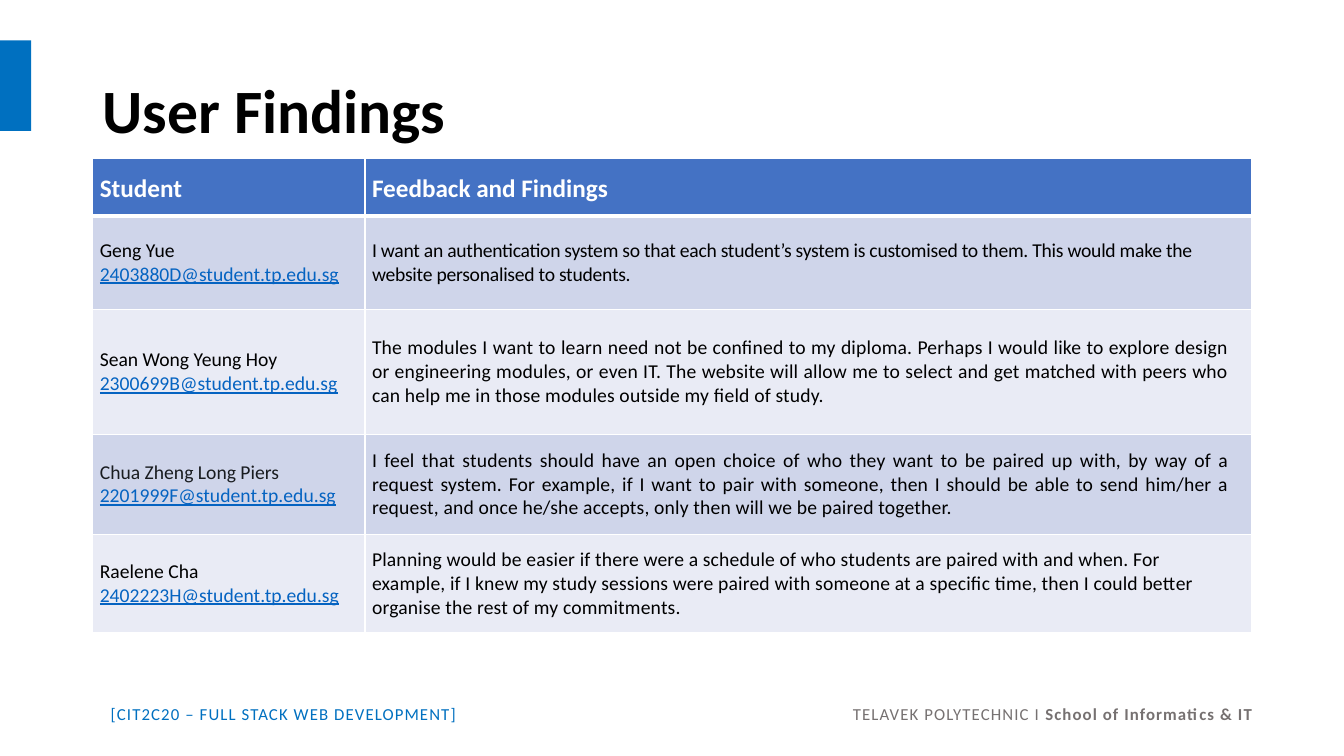
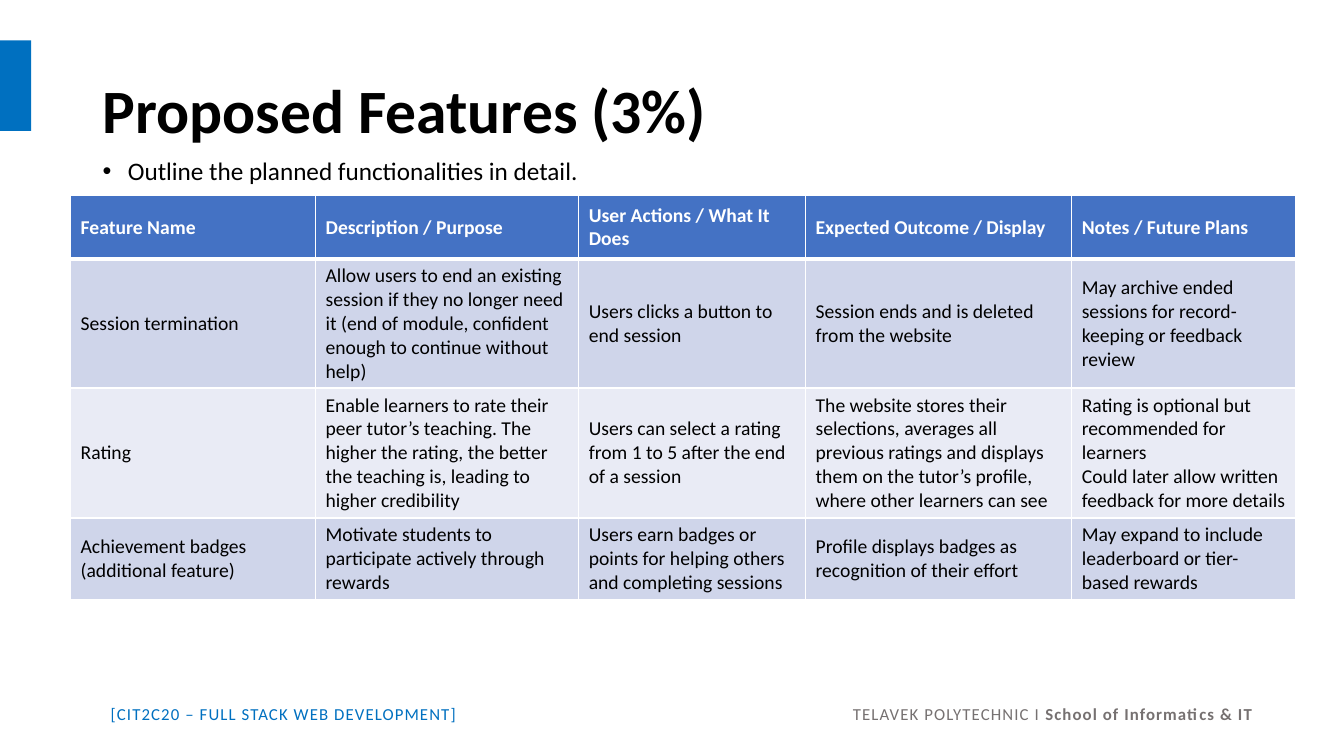
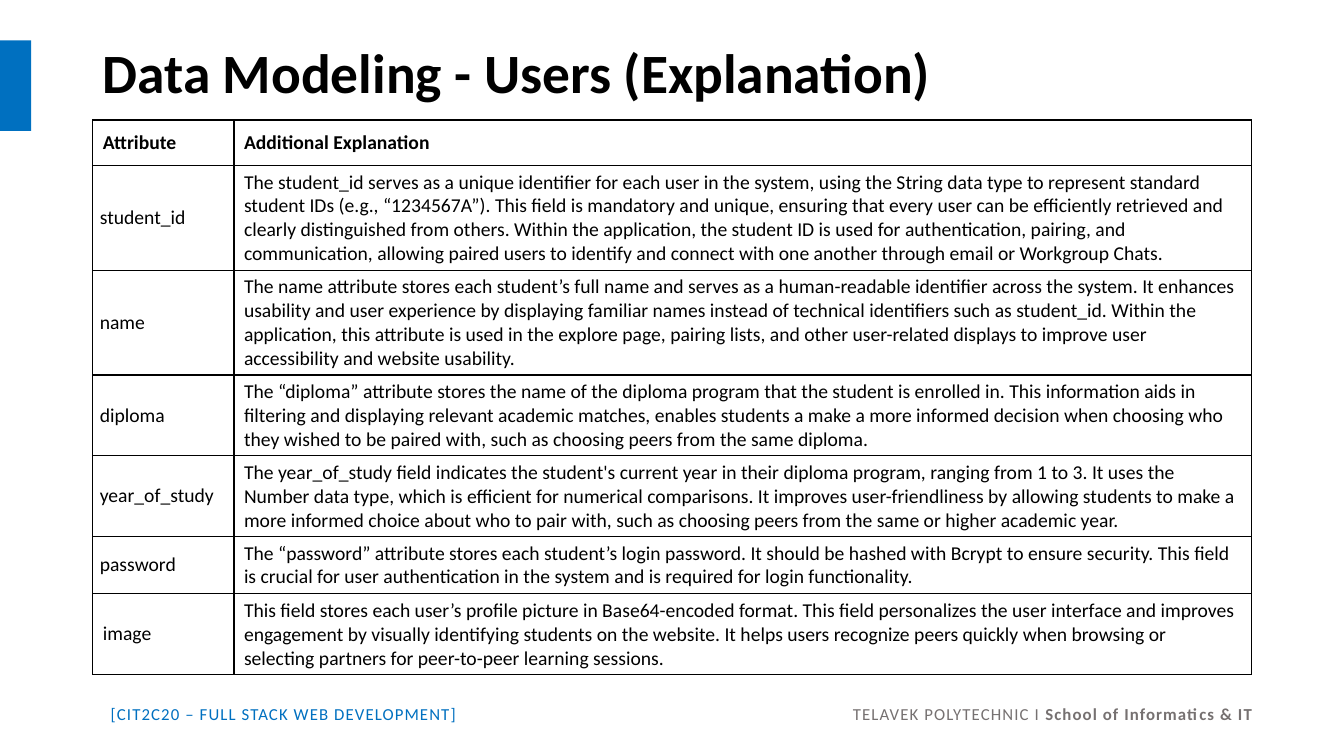
from lxml.etree import SubElement
from pptx import Presentation
from pptx.dml.color import RGBColor
from pptx.enum.shapes import MSO_SHAPE
from pptx.enum.text import MSO_ANCHOR, PP_ALIGN
from pptx.oxml.ns import qn
from pptx.util import Pt

PX = 9144  # 100 px to the inch
FONT = "Calibri"
COLORS = {
    "black": "000000",
    "ink": "191C20",
    "white": "FFFFFF",
    "accent": "0070C0",
    "grey": "767171",
    "link": "0563C1",
    "header": "4472C4",
    "band_dark": "CFD5EA",
    "band_light": "E9EBF5",
}
RGB = {name: RGBColor.from_string(value) for name, value in COLORS.items()}


def write(tf, text, size, color="black", bold=False, tracking=0):
    """Fill a text frame, one paragraph a line; tracking is in 1/100 pt."""
    tf.text = text
    tf.word_wrap = True
    for p in tf.paragraphs:
        for r in p.runs:
            r.font.name, r.font.size, r.font.bold = FONT, Pt(size), bold
            r.font.color.rgb = RGB[color]
            if tracking:
                r.font._element.set("spc", str(tracking))


def add_grid(s, x, y, cols, rows, texts, banded):
    """Add a table: coloured bands with white rules, or plain with black rules."""
    table = s.shapes.add_table(len(rows), len(cols), x * PX, y * PX,
                               sum(cols) * PX, sum(rows) * PX).table
    table.horz_banding = False
    for c, width in enumerate(cols):
        table.columns[c].width = width * PX
    for r, height in enumerate(rows):
        table.rows[r].height = height * PX
        for c, text in enumerate(texts[r]):
            cell = table.cell(r, c)
            cell.vertical_anchor = MSO_ANCHOR.MIDDLE
            heading = r == 0
            color = "white" if heading and banded else "black"
            write(cell.text_frame, text, 14, color, heading)
            if banded:
                cell.fill.solid()
                band = "band_dark" if r % 2 else "band_light"
                cell.fill.fore_color.rgb = RGB["header" if heading else band]
            else:
                cell.fill.background()
            tcPr = cell._tc.get_or_add_tcPr()
            for i, side in enumerate(("lnL", "lnR", "lnT", "lnB")):
                thick = banded and (r, side) in ((0, "lnB"), (1, "lnT"))
                ln = SubElement(tcPr, qn(f"a:{side}"), w=str(Pt(3 if thick else 1)))
                fill = SubElement(ln, qn("a:solidFill"))
                SubElement(fill, qn("a:srgbClr"), val=COLORS["white" if banded else "black"])
                tcPr.insert(i, ln)
    return table


prs = Presentation()
prs.slide_width, prs.slide_height = 1333 * PX, 750 * PX

# Shared band, title and footer
titles = [
    ("User Findings", 145, 44),
    ("Proposed Features (3%)", 145, 44),
    ("Data Modeling - Users (Explanation)", 70, 39.6),
]
slides = []
for title, height, size in titles:
    s = prs.slides.add_slide(prs.slide_layouts[6])
    slides.append(s)

    sp = s.shapes.add_shape(MSO_SHAPE.RECTANGLE, 0, 40 * PX, 31 * PX, 90 * PX)
    sp.shadow.inherit = False
    sp.fill.solid()
    sp.fill.fore_color.rgb = RGB["accent"]
    sp.line.fill.background()

    tf = s.shapes.add_textbox(92 * PX, 40 * PX, 1150 * PX, height * PX).text_frame
    write(tf, title, size, bold=True)
    tf.vertical_anchor = MSO_ANCHOR.MIDDLE
    tf.paragraphs[0].line_spacing = 0.9

    tf = s.shapes.add_textbox(100 * PX, 693 * PX, 500 * PX, 30 * PX).text_frame
    write(tf, "[CIT2C20 – FULL STACK WEB DEVELOPMENT]", 12, "accent", tracking=80)

    tf = s.shapes.add_textbox(752 * PX, 693 * PX, 500 * PX, 30 * PX).text_frame
    write(tf, "TELAVEK POLYTECHNIC I ", 12, "grey", tracking=80)
    p = tf.paragraphs[0]
    p.alignment = PP_ALIGN.RIGHT
    r = p.add_run()
    r.text = "School of Informatics & IT"
    r.font.name, r.font.size, r.font.bold = FONT, Pt(12), True
    r.font.color.rgb = RGB["grey"]
    r.font._element.set("spc", "80")

findings_slide, features_slide, model_slide = slides

# User findings: name, name colour, e-mail, feedback, alignment, tracking
findings = [
    ("Geng Yue", "black", "2403880D@student.tp.edu.sg",
     "I want an authentication system so that each student’s system is customised to them. "
     "This would make the website personalised to students.",
     PP_ALIGN.LEFT, -20),
    ("Sean Wong Yeung Hoy", "black", "2300699B@student.tp.edu.sg",
     "The modules I want to learn need not be confined to my diploma. Perhaps I would like to "
     "explore design or engineering modules, or even IT. The website will allow me to select "
     "and get matched with peers who can help me in those modules outside my field of study.",
     PP_ALIGN.JUSTIFY, 10),
    ("Chua Zheng Long Piers", "ink", "2201999F@student.tp.edu.sg",
     "I feel that students should have an open choice of who they want to be paired up with, "
     "by way of a request system. For example, if I want to pair with someone, then I should "
     "be able to send him/her a request, and once he/she accepts, only then will we be paired "
     "together.",
     PP_ALIGN.JUSTIFY, 10),
    ("Raelene Cha", "black", "2402223H@student.tp.edu.sg",
     "Planning would be easier if there were a schedule of who students are paired with and "
     "when. For example, if I knew my study sessions were paired with someone at a specific "
     "time, then I could better organise the rest of my commitments.",
     PP_ALIGN.LEFT, 10),
]
texts = [("Student", "Feedback and Findings")]
texts += [(f"{name}\n{email}", feedback) for name, _, email, feedback, _, _ in findings]
table = add_grid(findings_slide, 92, 157, [270, 879], [57, 93, 124, 99, 98], texts, True)
for cell in table.iter_cells():
    cell.margin_left = cell.margin_right = 7 * PX
    cell.margin_top = cell.margin_bottom = 0
for cell in table.rows[0].cells:
    cell.vertical_anchor = MSO_ANCHOR.TOP
    p = cell.text_frame.paragraphs[0]
    p.line_spacing = 1.5
    p.runs[0].font.size = Pt(18)
for row, (_, color, _, feedback, align, tracking) in enumerate(findings, 1):
    name, email = table.cell(row, 0).text_frame.paragraphs
    name.runs[0].font.color.rgb = RGB[color]
    email.runs[0].font.color.rgb = RGB["link"]
    email.runs[0].font.underline = True
    cell = table.cell(row, 1)
    cell.margin_right = 22 * PX
    write(cell.text_frame, feedback, 14, tracking=tracking)
    p = cell.text_frame.paragraphs[0]
    p.alignment = align
    p.space_before = p.space_after = Pt(6)

# Proposed features
tf = features_slide.shapes.add_textbox(92 * PX, 153 * PX, 1150 * PX, 53 * PX).text_frame
write(tf, "Outline the planned functionalities in detail.", 18)
p = tf.paragraphs[0]
p.line_spacing = 0.9
pPr = p._p.get_or_add_pPr()
pPr.set("marL", str(25 * PX))
pPr.set("indent", str(-25 * PX))
SubElement(pPr, qn("a:buFont"), typeface="Arial")
SubElement(pPr, qn("a:buChar"), char="•")

features = [
    ("Feature Name", "Description / Purpose", "User Actions / What It Does",
     "Expected Outcome / Display", "Notes / Future Plans"),
    ("Session termination",
     "Allow users to end an existing session if they no longer need it (end of module, "
     "confident enough to continue without help)",
     "Users clicks a button to end session",
     "Session ends and is deleted from the website",
     "May archive ended sessions for record-keeping or feedback review"),
    ("Rating",
     "Enable learners to rate their peer tutor’s teaching. The higher the rating, the better "
     "the teaching is, leading to higher credibility",
     "Users can select a rating from 1 to 5 after the end of a session",
     "The website stores their selections, averages all previous ratings and displays them on "
     "the tutor’s profile, where other learners can see",
     "Rating is optional but recommended for learners\n"
     "Could later allow written feedback for more details"),
    ("Achievement badges (additional feature)",
     "Motivate students to participate actively through rewards",
     "Users earn badges or points for helping others and completing sessions",
     "Profile displays badges as recognition of their effort",
     "May expand to include leaderboard or tier-based rewards"),
]
add_grid(features_slide, 70, 194, [243, 261, 225, 264, 222], [63, 128, 129, 81], features, True)

# Data model of users
attributes = [
    ("Attribute", "Additional Explanation"),
    ("student_id",
     "The student_id serves as a unique identifier for each user in the system, using the "
     "String data type to represent standard student IDs (e.g., “1234567A”). This field is "
     "mandatory and unique, ensuring that every user can be efficiently retrieved and clearly "
     "distinguished from others. Within the application, the student ID is used for "
     "authentication, pairing, and communication, allowing paired users to identify and "
     "connect with one another through email or Workgroup Chats."),
    ("name",
     "The name attribute stores each student’s full name and serves as a human-readable "
     "identifier across the system. It enhances usability and user experience by displaying "
     "familiar names instead of technical identifiers such as student_id. Within the "
     "application, this attribute is used in the explore page, pairing lists, and other "
     "user-related displays to improve user accessibility and website usability."),
    ("diploma",
     "The “diploma” attribute stores the name of the diploma program that the student is "
     "enrolled in. This information aids in filtering and displaying relevant academic "
     "matches, enables students a make a more informed decision when choosing who they wished "
     "to be paired with, such as choosing peers from the same diploma."),
    ("year_of_study",
     "The year_of_study field indicates the student's current year in their diploma program, "
     "ranging from 1 to 3. It uses the Number data type, which is efficient for numerical "
     "comparisons. It improves user-friendliness by allowing students to make a more informed "
     "choice about who to pair with, such as choosing peers from the same or higher academic "
     "year."),
    ("password",
     "The “password” attribute stores each student’s login password. It should be hashed with "
     "Bcrypt to ensure security. This field is crucial for user authentication in the system "
     "and is required for login functionality."),
    ("image",
     "This field stores each user’s profile picture in Base64-encoded format. This field "
     "personalizes the user interface and improves engagement by visually identifying students "
     "on the website. It helps users recognize peers quickly when browsing or selecting "
     "partners for peer-to-peer learning sessions."),
]
table = add_grid(model_slide, 92, 119, [140, 1009], [45, 104, 104, 80, 80, 57, 80],
                 attributes, False)
for row in range(1, 6):
    cell = table.cell(row, 0)
    cell.margin_left = cell.margin_right = 7 * PX
    cell.margin_top = cell.margin_bottom = 0

prs.save("out.pptx")
